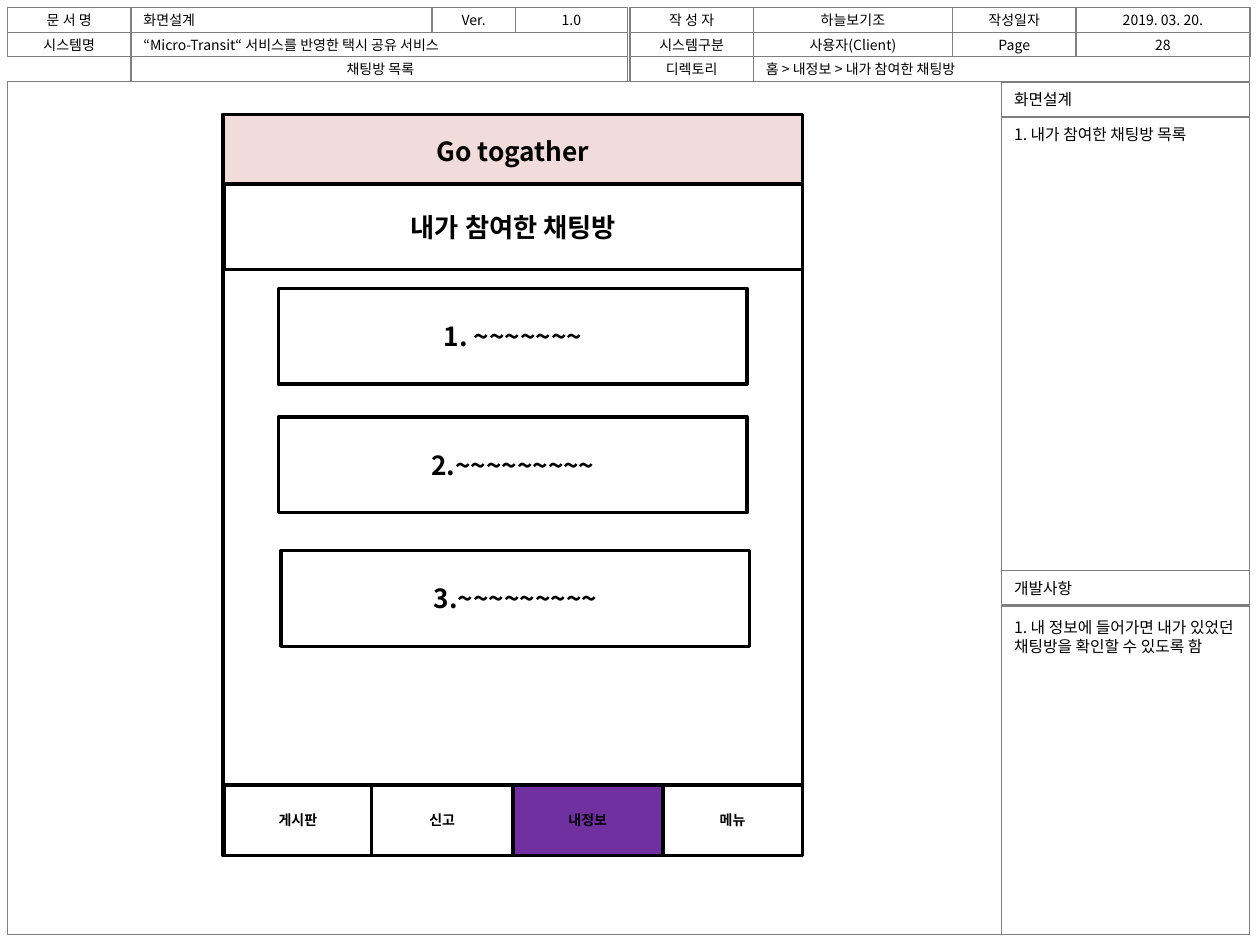
from typing import NamedTuple, Optional

from lxml.etree import SubElement
from pptx import Presentation
from pptx.dml.color import RGBColor
from pptx.enum.shapes import MSO_SHAPE as Shape
from pptx.enum.text import MSO_ANCHOR as Anchor, PP_ALIGN as Align
from pptx.oxml.ns import qn
from pptx.util import Inches, Pt

FONT = "Noto Sans CJK KR"
BLACK = RGBColor(0x00, 0x00, 0x00)
WHITE = RGBColor(0xFF, 0xFF, 0xFF)
GRAY = RGBColor(0x7F, 0x7F, 0x7F)
PINK = RGBColor(0xF2, 0xDC, 0xDB)
PURPLE = RGBColor(0x70, 0x30, 0xA0)

# Column edges and row edges of the header grid, in inches
COLS = (0.06, 1.04, 3.43, 4.09, 4.98, 5, 5.98, 7.56, 8.54, 9.92)
ROWS = (0.06, 0.26, 0.45, 0.65)
LEFT, RIGHT, FOOT = COLS[0], COLS[-1], 7.42
SIDE = 7.95

# Edges of the app frame and its tab bar
APP_X, APP_Y, APP_W, APP_H = 1.77, 0.91, 4.6, 5.88
TABS = (1.78, 2.95, 4.07, 5.26, 6.37)
TAB_Y = 6.23


class Look(NamedTuple):
    size: float
    bold: bool = False
    align: Align = Align.CENTER
    anchor: Anchor = Anchor.MIDDLE
    line: RGBColor = GRAY
    width: float = 0.75
    fill: Optional[RGBColor] = None
    top: float = 0.05


class Box(NamedTuple):
    x: float
    y: float
    w: float
    h: float
    text: str
    look: Look


class Cell(NamedTuple):
    row: int
    start: int
    end: int
    text: str
    align: Align = Align.CENTER


HEAD = Look(8)
SIDE_HEAD = Look(9, align=Align.LEFT)
NOTE = SIDE_HEAD._replace(anchor=Anchor.TOP, top=0.06)
APP = Look(15, bold=True, line=BLACK, width=2, fill=WHITE)
TAB = APP._replace(size=8)

CELLS = (
    Cell(0, 0, 1, "문 서 명"),
    Cell(0, 1, 2, "화면설계", Align.LEFT),
    Cell(0, 2, 3, "Ver."),
    Cell(0, 3, 4, "1.0"),
    Cell(0, 5, 6, "작 성 자"),
    Cell(0, 6, 7, "하늘보기조"),
    Cell(0, 7, 8, "작성일자"),
    Cell(0, 8, 9, "2019. 03. 20."),
    Cell(1, 0, 1, "시스템명"),
    Cell(1, 1, 4, "“Micro-Transit“ 서비스를 반영한 택시 공유 서비스", Align.LEFT),
    Cell(1, 5, 6, "시스템구분"),
    Cell(1, 6, 7, "사용자(Client)"),
    Cell(1, 7, 8, "Page"),
    Cell(1, 8, 9, "28"),
    Cell(2, 1, 4, ""),
    Cell(2, 5, 6, "디렉토리"),
    Cell(2, 6, 9, "홈 > 내정보 > 내가 참여한 채팅방", Align.LEFT),
)

PANELS = (
    Box(SIDE, 0.93, RIGHT - SIDE, 3.6, "1. 내가 참여한 채팅방 목록", NOTE),
    Box(SIDE, 0.65, RIGHT - SIDE, 0.28, "화면설계", SIDE_HEAD),
    Box(SIDE, 4.53, RIGHT - SIDE, 0.27, "개발사항", SIDE_HEAD),
    Box(SIDE, 4.81, RIGHT - SIDE, FOOT - 4.81,
        "1. 내 정보에 들어가면 내가 있었던 채팅방을 확인할 수 있도록 함",
        NOTE._replace(top=0.09)),
)

ROOMS = (
    Box(2.21, 2.29, 3.72, 0.76, "1. ~~~~~~~", APP),
    Box(2.21, 3.31, 3.72, 0.76, "2.~~~~~~~~~", APP),
    Box(2.23, 4.37, 3.72, 0.76, "3.~~~~~~~~~", APP),
)


def write(shape, text: str, look: Look) -> None:
    frame = shape.text_frame
    frame.word_wrap = True
    frame.vertical_anchor = look.anchor
    frame.margin_left = frame.margin_right = Inches(0.1)
    frame.margin_top, frame.margin_bottom = Inches(look.top), Inches(0.05)
    frame.text = text
    para = frame.paragraphs[0]
    para.alignment = look.align
    font = para.font
    font.size, font.bold, font.name = Pt(look.size), look.bold, FONT
    font.color.rgb = BLACK
    # Korean glyphs take the East Asian typeface
    props = para._p.pPr.find(qn("a:defRPr"))
    SubElement(props, qn("a:ea")).set("typeface", FONT)


def draw(slide, box: Box) -> None:
    look = box.look
    shape = slide.shapes.add_shape(
        Shape.RECTANGLE, *map(Inches, (box.x, box.y, box.w, box.h)))
    shape.shadow.inherit = False
    shape.line.color.rgb = look.line
    shape.line.width = Pt(look.width)
    if look.fill is None:
        shape.fill.background()
    else:
        shape.fill.solid()
        shape.fill.fore_color.rgb = look.fill
    if box.text:
        write(shape, box.text, look)


def place(cell: Cell) -> Box:
    x, y = COLS[cell.start], ROWS[cell.row]
    return Box(x, y, COLS[cell.end] - x, ROWS[cell.row + 1] - y,
               cell.text, HEAD._replace(align=cell.align))


def main() -> None:
    deck = Presentation()
    deck.slide_width, deck.slide_height = Inches(10), Inches(7.5)
    slide = deck.slides.add_slide(deck.slide_layouts[5])

    # Screen name in the third header row
    title = slide.shapes.title
    title.left, title.top, title.width, title.height = map(
        Inches, (1.05, 0.45, 3.94, 0.2))
    write(title, "채팅방 목록", HEAD)

    # Document header, page border and side notes
    draw(slide, Box(LEFT, ROWS[-1], RIGHT - LEFT, FOOT - ROWS[-1], "", HEAD))
    for cell in CELLS:
        draw(slide, place(cell))
    for panel in PANELS:
        draw(slide, panel)

    # App frame, banner and chat rooms
    draw(slide, Box(APP_X, APP_Y, APP_W, APP_H, "", APP))
    draw(slide, Box(APP_X, APP_Y, APP_W, 0.57, "Go togather",
                    APP._replace(fill=PINK)))
    for room in ROOMS:
        draw(slide, room)

    # Tab bar with the current tab filled
    names = ("게시판", "신고", "내정보", "메뉴")
    for name, x, end in zip(names, TABS, TABS[1:]):
        look = TAB._replace(fill=PURPLE if name == "내정보" else WHITE)
        draw(slide, Box(x, TAB_Y, end - x, 0.56, name, look))
    draw(slide, Box(1.78, 1.46, 4.59, 0.68, "내가 참여한 채팅방", APP))

    deck.save("out.pptx")


if __name__ == "__main__":
    main()
